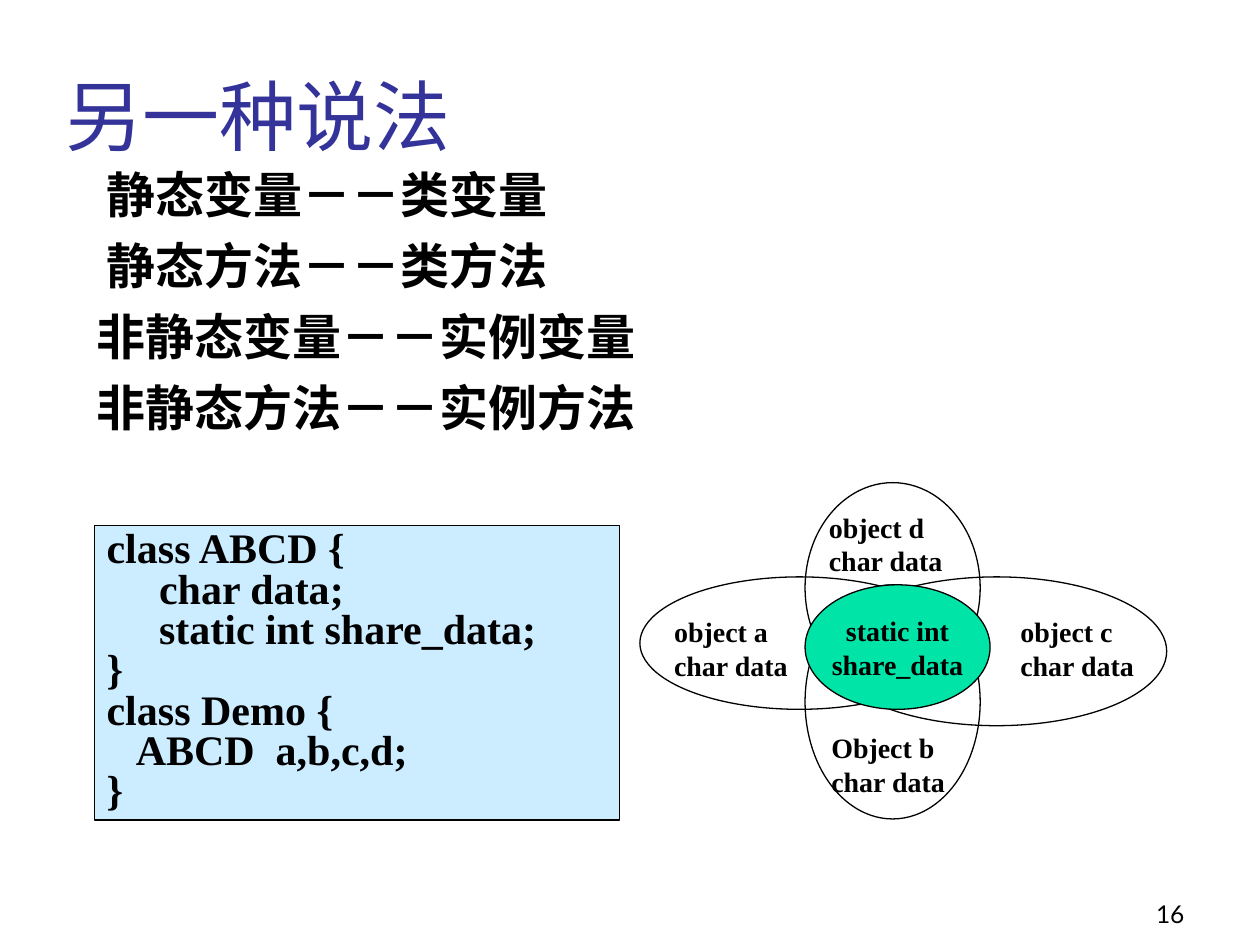
from dataclasses import dataclass

import pptx
from pptx.dml.color import RGBColor
from pptx.enum.shapes import MSO_SHAPE
from pptx.enum.text import MSO_ANCHOR, MSO_AUTO_SIZE, PP_ALIGN
from pptx.oxml.xmlchemy import OxmlElement
from pptx.util import Cm, Pt


@dataclass(frozen=True)
class Theme:
    ink: str = "000000"
    head: str = "333399"
    pale: str = "CCECFF"
    green: str = "00E4A8"
    sans: str = "Lato"
    serif: str = "Times New Roman"
    title: int = 44
    body: int = 28
    code: int = 24
    label: int = 16
    page: int = 14


THEME = Theme()

TERMS = [
    ("静态变量－－类变量", 0.2),
    ("静态方法－－类方法", 0.2),
    ("非静态变量－－实例变量", 0),
    ("非静态方法－－实例方法", 0),
]
CODE = """class ABCD {
     char data;
     static int share_data;
}
class Demo {
   ABCD  a,b,c,d;
}"""

# Petal box, label corner, label name
PETALS = [
    ((12.9, 11.63, 6.43, 2.67), (13.34, 12.27), "object a"),
    ((16.66, 11.63, 6.86, 3), (20.32, 12.27), "object c"),
    ((16.23, 9.73, 3.53, 4.24), (16.46, 10.16), "object d"),
    ((16.23, 11.79, 3.53, 4.72), (16.51, 14.61), "Object b"),
]
CORE = (16.23, 11.79, 3.73, 2.51)
LABEL = (2.79, 1.63)


def place(shape, box):
    shape.left, shape.top, shape.width, shape.height = map(Cm, box)


def style(para, size, color=THEME.ink, face=THEME.sans, bold=False, align=PP_ALIGN.LEFT):
    para.alignment = align
    font = para.font
    font.name, font.size, font.bold = face, Pt(size), bold
    font.color.rgb = RGBColor.from_string(color)


def write(shape, text, size, wrap=True, anchor=MSO_ANCHOR.TOP, space=1, **look):
    """Fill a shape with one paragraph per line of text."""
    frame = shape.text_frame
    frame.text = text
    frame.word_wrap = wrap
    frame.auto_size = MSO_AUTO_SIZE.NONE
    frame.vertical_anchor = anchor
    for para in frame.paragraphs:
        para.line_spacing = space
        style(para, size, **look)


def draw(shapes, kind, box, fill=None):
    shape = shapes.add_shape(kind, *map(Cm, box))
    shape.shadow.inherit = False
    if fill:
        shape.fill.solid()
        shape.fill.fore_color.rgb = RGBColor.from_string(fill)
    else:
        shape.fill.background()
    shape.line.color.rgb = RGBColor.from_string(THEME.ink)
    shape.line.width = Pt(0.75)
    return shape


def add_title(slide, text):
    title = slide.shapes.title
    place(title, (1.07, 0.2, 21.64, 3.18))
    write(title, text, THEME.title, anchor=MSO_ANCHOR.BOTTOM, color=THEME.head)


def add_terms(slide):
    body = slide.placeholders[1]
    place(body, (1.7, 3.18, 21.59, 15.24))
    write(body, "\n".join(text for text, _ in TERMS), THEME.body, bold=True)
    for row, (para, (_, shift)) in enumerate(zip(body.text_frame.paragraphs, TERMS)):
        para.space_before = Pt(7 if row else 0)
        props = para._p.get_or_add_pPr()
        props.set("marL", str(Cm(0.95)))
        props.set("indent", str(Cm(shift - 0.95)))
        props.insert_element_before(OxmlElement("a:buNone"), "a:tabLst", "a:defRPr", "a:extLst")


def add_flower(slide):
    """Draw the overlapping objects around the data they share."""
    shapes = slide.shapes.add_group_shape().shapes
    look = dict(wrap=False, face=THEME.serif, bold=True)
    for box, _, _ in PETALS:
        draw(shapes, MSO_SHAPE.OVAL, box)
    core = draw(shapes, MSO_SHAPE.OVAL, CORE, THEME.green)
    write(core, "static int\nshare_data", THEME.label,
          anchor=MSO_ANCHOR.MIDDLE, align=PP_ALIGN.CENTER, **look)
    for _, spot, name in PETALS:
        label = shapes.add_textbox(*map(Cm, spot + LABEL))
        write(label, f"{name}\nchar data", THEME.label, **look)


def add_code(slide):
    panel = draw(slide.shapes, MSO_SHAPE.RECTANGLE, (1.9, 10.59, 10.59, 5.94), THEME.pale)
    write(panel, CODE, THEME.code, space=0.8, face=THEME.serif, bold=True)


def add_page(slide, text):
    page = slide.shapes.add_textbox(*map(Cm, (18.85, 17.58, 5.28, 1.27)))
    write(page, text, THEME.page, anchor=MSO_ANCHOR.BOTTOM, align=PP_ALIGN.RIGHT)


def main():
    deck = pptx.Presentation()
    deck.slide_width, deck.slide_height = Cm(25.4), Cm(19.05)
    slide = deck.slides.add_slide(deck.slide_layouts[1])
    add_title(slide, "另一种说法")
    add_terms(slide)
    add_flower(slide)
    add_code(slide)
    add_page(slide, "16")
    deck.save("out.pptx")


if __name__ == "__main__":
    main()
